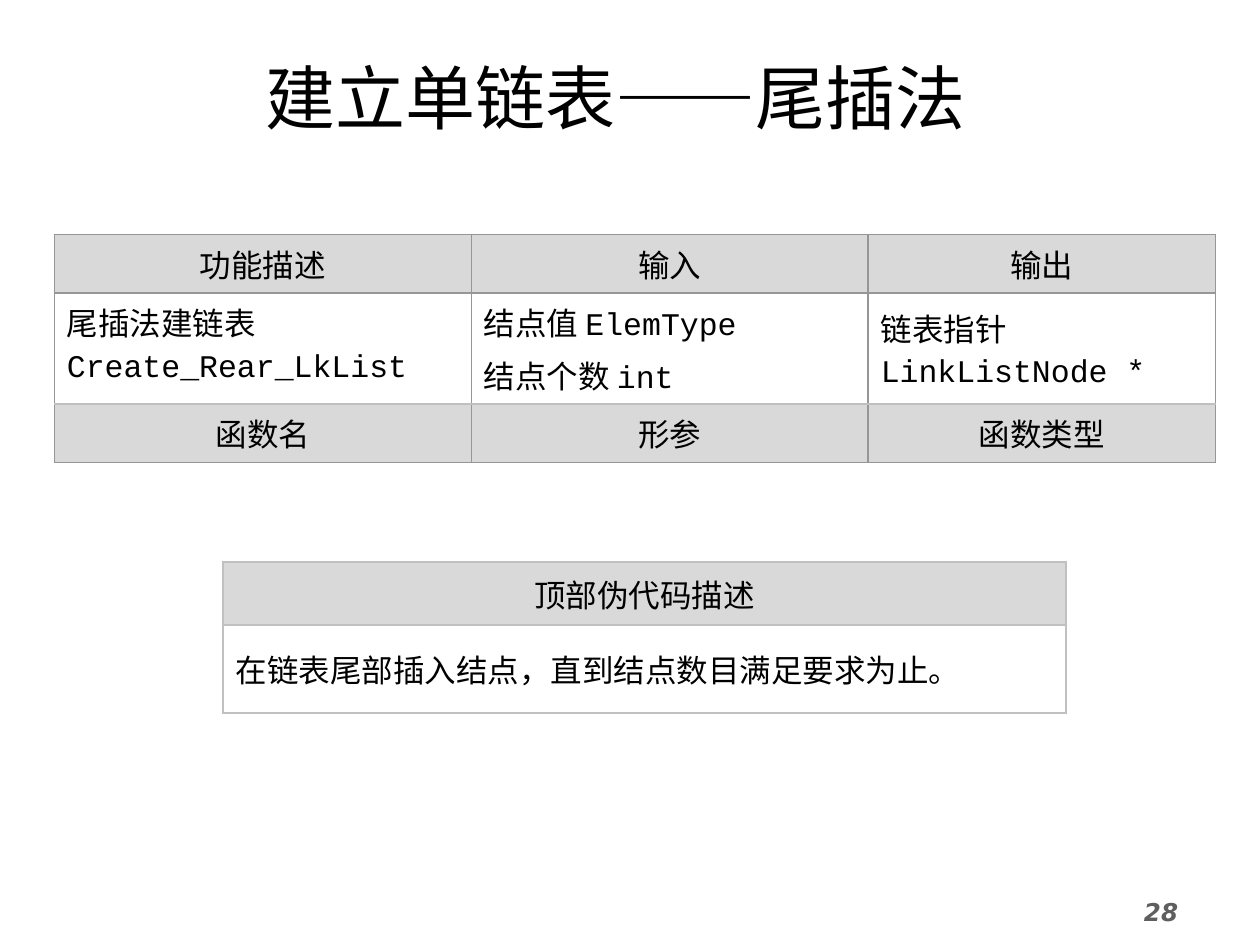
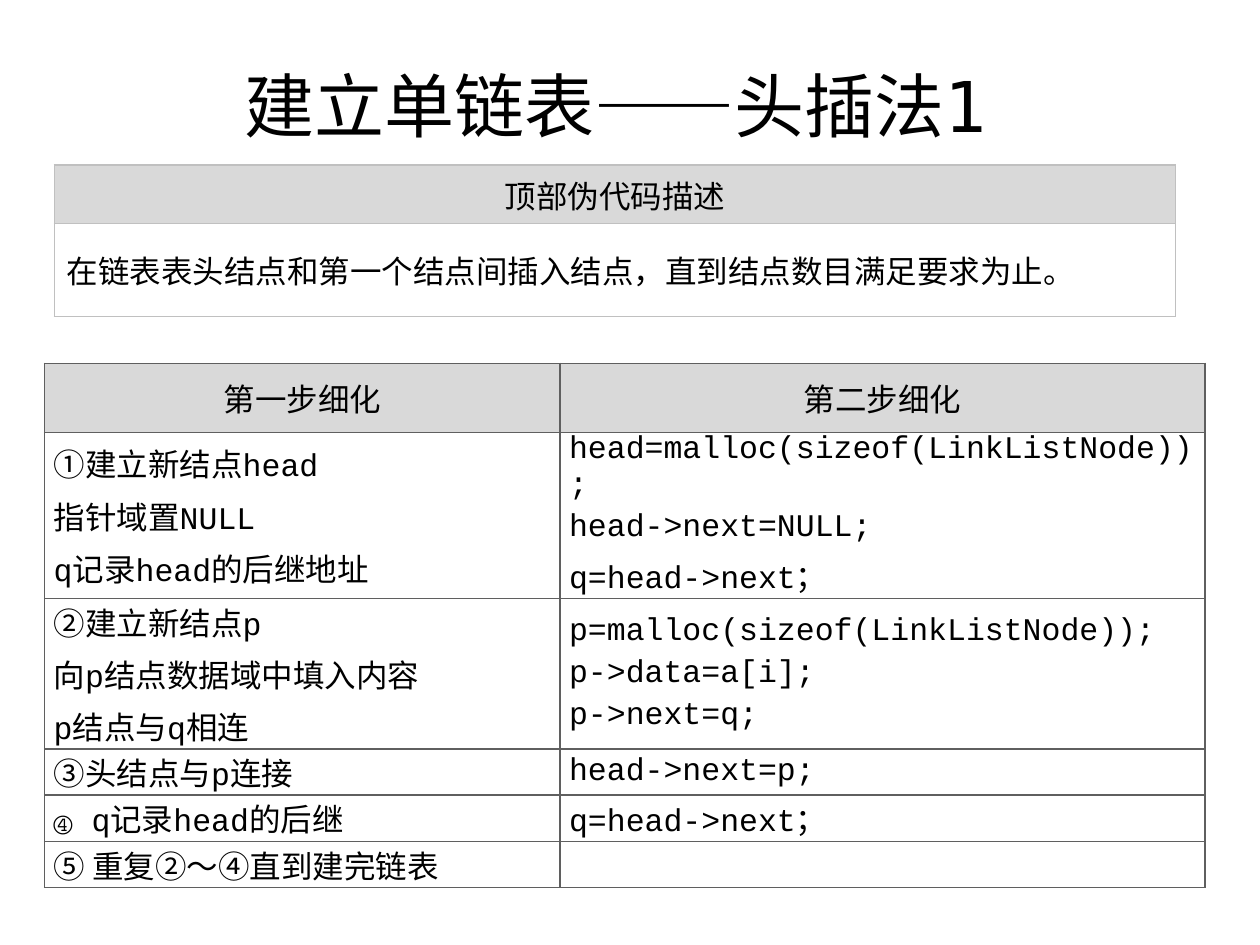
from lxml import etree
from pptx import Presentation
from pptx.dml.color import RGBColor
from pptx.enum.lang import MSO_LANGUAGE_ID
from pptx.enum.text import MSO_ANCHOR, PP_ALIGN
from pptx.oxml.ns import qn
from pptx.util import Pt

LEFT, CENTER = PP_ALIGN.LEFT, PP_ALIGN.CENTER
TOP, MIDDLE = MSO_ANCHOR.TOP, MSO_ANCHOR.MIDDLE
CHINESE = MSO_LANGUAGE_ID.SIMPLIFIED_CHINESE

BLACK = RGBColor(0x00, 0x00, 0x00)
WHITE = RGBColor(0xFF, 0xFF, 0xFF)
HEADER_GRAY = RGBColor(0xD9, 0xD9, 0xD9)
LIGHT_GRAY = RGBColor(0xC0, 0xC0, 0xC0)
MID_GRAY = RGBColor(0x96, 0x96, 0x96)
DARK_GRAY = RGBColor(0x5F, 0x5F, 0x5F)

TITLE_FONT, DASH_FONT = "DejaVu Sans Mono", "Arial"
TABLE_FONT, NUMBER_FONT = "Courier New", "DejaVu Sans"
TABLE_SIZE = 18
PARAGRAPH_GAP = 0.2 * TABLE_SIZE
HEADER_HEIGHT = 33.4
WIDE_INSETS = (7.2, 3.6)
TIGHT_INSETS = (5.2, 0)


def add_run(paragraph, text, font_name, size, color=BLACK):
    run = paragraph.add_run()
    run.text = text
    run.font.name = font_name
    run.font.size = Pt(size)
    run.font.color.rgb = color
    run.font.language_id = CHINESE
    return run


def add_text_box(slide, box):
    frame = slide.shapes.add_textbox(*map(Pt, box)).text_frame
    frame.word_wrap = True
    return frame


def add_title(slide, box, method):
    frame = add_text_box(slide, box)
    frame.vertical_anchor = MIDDLE
    paragraph = frame.paragraphs[0]
    paragraph.alignment = CENTER
    for text, font_name in (("建立单链表", TITLE_FONT), ("——", DASH_FONT), (method, TITLE_FONT)):
        add_run(paragraph, text, font_name, 40)


def add_slide_number(slide, box, number):
    paragraph = add_text_box(slide, box).paragraphs[0]
    run = add_run(paragraph, number, NUMBER_FONT, 14, DARK_GRAY)
    run.font.bold = run.font.italic = True


def set_border(cell, side, color):
    """Draw one side of a cell: L, R, T or B."""
    properties = cell._tc.get_or_add_tcPr()
    line = etree.SubElement(properties, qn(f"a:ln{side}"), w=str(Pt(1)))
    fill = etree.SubElement(line, qn("a:solidFill"))
    etree.SubElement(fill, qn("a:srgbClr"), val=str(color))


def fill_cell(cell, text, is_header, insets, anchor):
    cell.fill.solid()
    cell.fill.fore_color.rgb = HEADER_GRAY if is_header else WHITE
    cell.margin_left = cell.margin_right = Pt(insets[0])
    cell.margin_top = cell.margin_bottom = Pt(insets[1])
    cell.vertical_anchor = anchor
    frame = cell.text_frame
    for index, line in enumerate(text.split("\n")):
        paragraph = frame.add_paragraph() if index else frame.paragraphs[0]
        paragraph.alignment = CENTER if is_header else LEFT
        paragraph.space_before = Pt(PARAGRAPH_GAP)
        if line:
            add_run(paragraph, line, TABLE_FONT, TABLE_SIZE)


def add_grid(slide, left, top, widths, heights, texts, border, insets=WIDE_INSETS,
             header_rows=(0,), light_rules=(), top_cells=()):
    """Add a table; light_rules lists the rows that have a light rule above them."""
    table = slide.shapes.add_table(
        len(heights), len(widths), Pt(left), Pt(top), Pt(sum(widths)), Pt(sum(heights))).table
    table.first_row = table.horz_banding = False
    for column, width in zip(table.columns, widths):
        column.width = Pt(width)
    for row, height in zip(table.rows, heights):
        row.height = Pt(height)
    for row_index, row_texts in enumerate(texts):
        above = LIGHT_GRAY if row_index in light_rules else border
        below = LIGHT_GRAY if row_index + 1 in light_rules else border
        for column_index, text in enumerate(row_texts):
            cell = table.cell(row_index, column_index)
            for side, color in zip("LRTB", (border, border, above, below)):
                set_border(cell, side, color)
            anchor = TOP if (row_index, column_index) in top_cells else MIDDLE
            fill_cell(cell, text, row_index in header_rows, insets, anchor)


def add_pseudocode(slide, left, top, width, heights, description):
    add_grid(slide, left, top, [width], heights,
             [["顶部伪代码描述"], [description]], LIGHT_GRAY)


def build_rear_insertion(slide):
    add_title(slide, (93.6, 30.2, 516.2, 50.4), "尾插法")

    # Function interface
    interface = [
        ["功能描述", "输入", "输出"],
        ["尾插法建链表\nCreate_Rear_LkList", "结点值 ElemType\n结点个数 int", "链表指针\nLinkListNode *"],
        ["函数名", "形参", "函数类型"],
    ]
    top_cells = [(row, column) for row in (0, 2) for column in range(3)] + [(1, 0)]
    add_grid(slide, 31, 133.9, [238.3, 226.8, 198.4], [HEADER_HEIGHT, 63.6, HEADER_HEIGHT],
             interface, MID_GRAY, header_rows=(0, 2), light_rules=(2,), top_cells=top_cells)

    add_pseudocode(slide, 127.4, 321.1, 481.7, [36, 50.4],
                   "在链表尾部插入结点，直到结点数目满足要求为止。")
    add_slide_number(slide, (646.6, 509, 73.4, 31), "28")


def build_head_insertion(slide):
    add_title(slide, (93.6, 31.9, 516.2, 55.4), "头插法1")
    add_pseudocode(slide, 31, 94.3, 640.8, [HEADER_HEIGHT, 53.3],
                   "在链表表头结点和第一个结点间插入结点，直到结点数目满足要求为止。")

    # Stepwise refinement
    refinement = [
        ["第一步细化", "第二步细化"],
        ["①建立新结点head\n指针域置NULL\nq记录head的后继地址",
         "head=malloc(sizeof(LinkListNode));\nhead->next=NULL;\nq=head->next；"],
        ["②建立新结点p\n向p结点数据域中填入内容\np结点与q相连",
         "p=malloc(sizeof(LinkListNode));\np->data=a[i];\np->next=q;"],
        ["③头结点与p连接", "head->next=p;"],
        ["④ q记录head的后继", "q=head->next；"],
        ["⑤ 重复②～④直到建完链表", ""],
    ]
    add_grid(slide, 25.5, 207.6, [294.5, 368.6], [39.6, 94.8, 86] + [26.4] * 3,
             refinement, DARK_GRAY, TIGHT_INSETS)


def main():
    presentation = Presentation()
    presentation.slide_width, presentation.slide_height = Pt(720), Pt(540)
    blank_layout = presentation.slide_layouts[6]
    for build in (build_rear_insertion, build_head_insertion):
        build(presentation.slides.add_slide(blank_layout))
    presentation.save("out.pptx")


if __name__ == "__main__":
    main()
